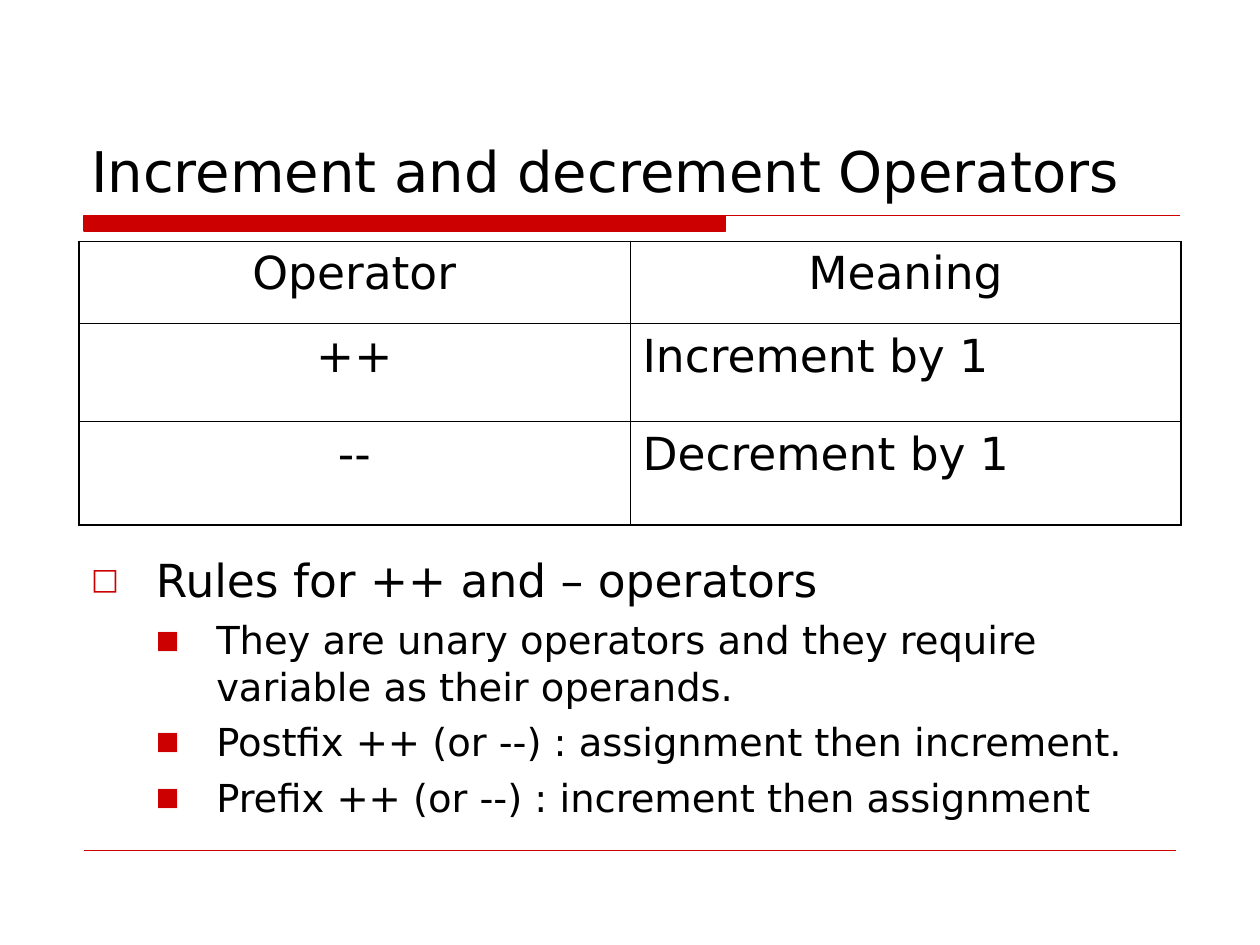
"""Build the slide on increment and decrement operators."""
from lxml import etree
from pptx import Presentation
from pptx.dml.color import RGBColor
from pptx.enum.shapes import MSO_CONNECTOR
from pptx.enum.text import MSO_ANCHOR, PP_ALIGN
from pptx.oxml.ns import qn
from pptx.util import Pt

STRAIGHT = MSO_CONNECTOR.STRAIGHT
TOP, BOTTOM = MSO_ANCHOR.TOP, MSO_ANCHOR.BOTTOM
LEFT, CENTER = PP_ALIGN.LEFT, PP_ALIGN.CENTER
BLACK = RGBColor(0x00, 0x00, 0x00)
RED = RGBColor(0xCC, 0x00, 0x00)
OUTER, INNER = 1.08, 0.45

OPERATORS = [
    ("Operator", "Meaning"),
    ("++", "Increment by 1"),
    ("--", "Decrement by 1"),
]
RULES = [
    (0, "Rules for ++ and – operators"),
    (1, "They are unary operators and they require variable as their operands."),
    (1, "Postfix ++ (or --) : assignment then increment."),
    (1, "Prefix ++ (or --) : increment then assignment"),
]
LEVELS = [
    {"size": 26, "before": 6.5, "margin": 37, "hanging": 37, "bullet": "□"},
    {"size": 22, "before": 5.5, "margin": 71.5, "hanging": 34.5, "bullet": "■"},
]


def assign(target, values):
    for name, value in values.items():
        setattr(target, name, value)


def add_child(parent, tag, **attributes):
    return etree.SubElement(parent, qn(tag), attributes)


class SlideBuilder:
    def __init__(self, slide, font):
        self.shapes = slide.shapes
        self.font = font

    def add_text(self, para, text, size, **layout):
        assign(para, layout)
        span = para.add_run()
        span.text = text
        assign(span.font, {"name": self.font, "size": Pt(size)})
        span.font.color.rgb = BLACK

    def text_box(self, left, top, width, height, anchor):
        box = self.shapes.add_textbox(Pt(left), Pt(top), Pt(width), Pt(height))
        assign(box.text_frame, {"word_wrap": True, "vertical_anchor": anchor})
        return box.text_frame

    def title(self, text, *place):
        self.add_text(self.text_box(*place, BOTTOM).paragraphs[0], text, 32)

    def title_rule(self, left, top, bar_width, bar_height, width):
        right, bottom = left + bar_width, top + bar_height
        outline = self.shapes.build_freeform(Pt(left), Pt(top))
        corners = [(right, top), (right, bottom), (left, bottom)]
        outline.add_line_segments([(Pt(x), Pt(y)) for x, y in corners])
        outline.move_to(Pt(left), Pt(top))
        outline.add_line_segments([(Pt(left + width), Pt(top))], close=False)
        rule = outline.convert_to_shape()
        rule.shadow.inherit = False
        rule.fill.solid()
        rule.fill.fore_color.rgb = RED
        rule.line.color.rgb = RED
        rule.line.width = Pt(0.75)

    def line(self, left, top, width, weight):
        line = self.shapes.add_connector(
            STRAIGHT, Pt(left), Pt(top), Pt(left + width), Pt(top))
        line.line.color.rgb = RED
        line.line.width = Pt(weight)
        add_child(line._element.spPr, "a:effectLst")

    def border(self, cell, side, weight):
        properties = cell._tc.get_or_add_tcPr()
        edge = add_child(properties, f"a:ln{side}", w=str(Pt(weight)))
        fill = add_child(edge, "a:solidFill")
        add_child(fill, "a:srgbClr", val=str(BLACK))

    def table(self, rows, left, top, width, heights):
        last_row, last_column = len(rows) - 1, len(rows[0]) - 1
        table = self.shapes.add_table(
            len(rows), len(rows[0]), Pt(left), Pt(top),
            Pt(width), Pt(sum(heights))).table
        assign(table, {"first_row": False, "horz_banding": False})
        for row, (texts, height) in enumerate(zip(rows, heights)):
            table.rows[row].height = Pt(height)
            for column, text in enumerate(texts):
                cell = table.cell(row, column)
                cell.vertical_anchor = TOP
                centered = row == 0 or column == 0
                self.add_text(cell.text_frame.paragraphs[0], text, 26,
                              alignment=CENTER if centered else LEFT,
                              space_before=Pt(6.5))
                outer_sides = {"L": column == 0, "R": column == last_column,
                               "T": row == 0, "B": row == last_row}
                for side, outer in outer_sides.items():
                    self.border(cell, side, OUTER if outer else INNER)
                cell.fill.background()

    def bullets(self, items, *place):
        frame = self.text_box(*place, TOP)
        for index, (level, text) in enumerate(items):
            para = frame.add_paragraph() if index else frame.paragraphs[0]
            style = LEVELS[level]
            self.add_text(para, text, style["size"], level=level,
                          space_before=Pt(style["before"]))
            properties = para._p.get_or_add_pPr()
            properties.set("marL", str(Pt(style["margin"])))
            properties.set("indent", str(-Pt(style["hanging"])))
            color = add_child(properties, "a:buClr")
            add_child(color, "a:srgbClr", val=str(RED))
            add_child(properties, "a:buSzPct", val="65000")
            add_child(properties, "a:buFont", typeface=self.font)
            add_child(properties, "a:buChar", char=style["bullet"])


def main():
    deck = Presentation()
    assign(deck, {"slide_width": Pt(720), "slide_height": Pt(540)})
    page = SlideBuilder(deck.slides.add_slide(deck.slide_layouts[6]), "DejaVu Sans")
    page.title_rule(48, 123, 366.5, 9, 626.5)
    page.line(48, 486, 624, 0.25)
    page.title("Increment and decrement Operators", 45, 24, 630, 96)
    page.table(OPERATORS, 45, 138, 630, [47, 56, 59])
    page.bullets(RULES, 45, 312, 630, 162)
    deck.save("out.pptx")


if __name__ == "__main__":
    main()
